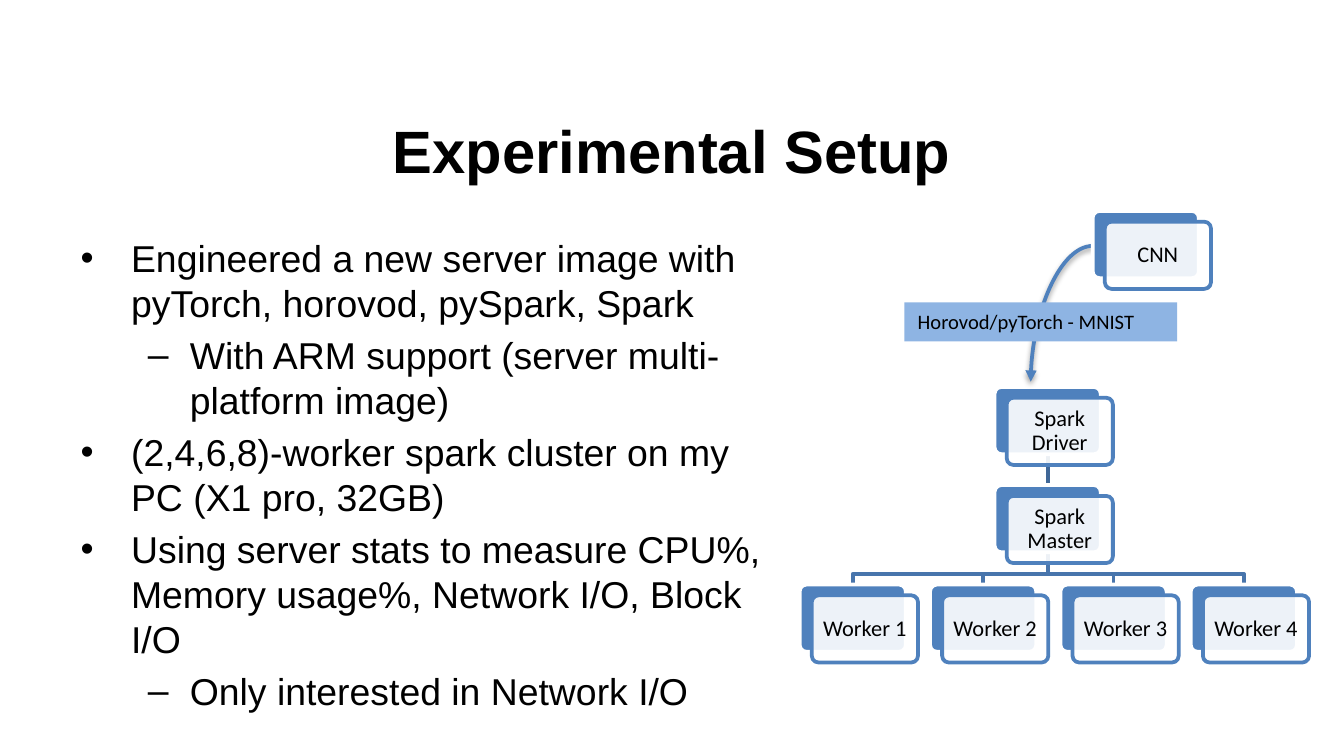
from dataclasses import dataclass

from lxml.etree import SubElement
from pptx import Presentation
from pptx.dml.color import RGBColor
from pptx.enum.shapes import MSO_CONNECTOR as Connector, MSO_SHAPE as Preset
from pptx.enum.text import MSO_ANCHOR as Anchor, MSO_AUTO_SIZE as AutoSize, PP_ALIGN as Align
from pptx.oxml.ns import qn
from pptx.util import Inches, Pt


@dataclass(frozen=True)
class Theme:
    black: str = "000000"
    white: str = "FFFFFF"
    blue: str = "4F81BD"
    branch: str = "4875AC"
    trunk: str = "3F6797"
    label: str = "8EB4E3"
    heading_font: str = "Arial"
    diagram_font: str = "Calibri"
    title_size: int = 32
    body_size: int = 20
    card_size: int = 12
    label_size: int = 11
    line_width: int = 2


THEME = Theme()
CARD_WIDTH, CARD_HEIGHT = 0.79, 0.5
CARD_SHIFT_X, CARD_SHIFT_Y = 0.09, 0.08
SPINE_LEFT, DRIVER_TOP, MASTER_TOP = 7.4, 2.88, 3.61
WORKER_LEFT, WORKER_STEP, WORKER_TOP, WORKER_COUNT = 5.95, 0.97, 4.35, 4
BRANCH_TOP, BRANCH_BEND = 4.12, 4.27

BULLETS = [
    (0, "Engineered a new server image with pyTorch, horovod, pySpark, Spark"),
    (1, "With ARM support (server multi-platform image)"),
    (0, "(2,4,6,8)-worker spark cluster on my PC (X1 pro, 32GB)"),
    (0, "Using server stats to measure CPU%, Memory usage%, Network I/O, Block I/O"),
    (1, "Only interested in Network I/O"),
]


def rgb(color):
    return RGBColor.from_string(color)


def write(paragraph, text, *, size, font=THEME.heading_font, color=THEME.black,
          bold=False, align=None, level=0, spacing=None):
    paragraph.level = level
    paragraph.alignment = align
    paragraph.line_spacing = spacing
    run = paragraph.add_run()
    run.text = text
    run.font.name = font
    run.font.size = Pt(size)
    run.font.bold = bold
    run.font.color.rgb = rgb(color)


def place(shape, left, top, width, height):
    shape.left, shape.top = Inches(left), Inches(top)
    shape.width, shape.height = Inches(width), Inches(height)


def style_line(shape, color):
    shape.line.color.rgb = rgb(color)
    shape.line.width = Pt(THEME.line_width)


def add_box(slide, preset, left, top, width, height, *, fill, line=None):
    shape = slide.shapes.add_shape(
        preset, Inches(left), Inches(top), Inches(width), Inches(height))
    shape.shadow.inherit = False
    shape.fill.solid()
    shape.fill.fore_color.rgb = rgb(fill)
    if line:
        style_line(shape, line)
    else:
        shape.line.fill.background()
    return shape


def add_card(slide, left, top, text):
    back = add_box(slide, Preset.ROUNDED_RECTANGLE, left, top,
                   CARD_WIDTH, CARD_HEIGHT, fill=THEME.blue, line=THEME.white)
    front = add_box(slide, Preset.ROUNDED_RECTANGLE, left + CARD_SHIFT_X, top + CARD_SHIFT_Y,
                    CARD_WIDTH, CARD_HEIGHT, fill=THEME.white, line=THEME.blue)
    back.adjustments[0] = front.adjustments[0] = 0.1
    color = front._element.spPr.find(qn("a:solidFill")).find(qn("a:srgbClr"))
    SubElement(color, qn("a:alpha"), val="90000")
    frame = front.text_frame
    frame.word_wrap = True
    frame.vertical_anchor = Anchor.MIDDLE
    frame.margin_left = frame.margin_right = Inches(0.05)
    frame.margin_top = frame.margin_bottom = Inches(0.05)
    write(frame.paragraphs[0], text, size=THEME.card_size, font=THEME.diagram_font,
          align=Align.CENTER, spacing=0.9)
    return back


def add_link(slide, kind, start, end, color):
    link = slide.shapes.add_connector(kind, *map(Inches, start + end))
    style_line(link, color)
    effects = SubElement(link._element.spPr, qn("a:effectLst"))
    return link, effects


def add_branch(slide, start_x, end_x):
    builder = slide.shapes.build_freeform(Inches(start_x), Inches(BRANCH_TOP))
    points = [(start_x, BRANCH_BEND), (end_x, BRANCH_BEND), (end_x, WORKER_TOP)]
    builder.add_line_segments([(Inches(x), Inches(y)) for x, y in points], close=False)
    branch = builder.convert_to_shape()
    branch.shadow.inherit = False
    branch.fill.background()
    style_line(branch, THEME.branch)


def add_curved_arrow(slide, start, end):
    arrow, effects = add_link(slide, Connector.CURVE, start, end, THEME.blue)
    arrow._element.spPr.find(qn("a:prstGeom")).set("prst", "curvedConnector2")
    SubElement(arrow._element.spPr.find(qn("a:ln")), qn("a:tailEnd"), type="triangle")
    shadow = SubElement(effects, qn("a:outerShdw"), blurRad=str(Pt(3.1)),
                        dist=str(Pt(1.6)), dir="5400000", rotWithShape="0")
    color = SubElement(shadow, qn("a:srgbClr"), val=THEME.black)
    SubElement(color, qn("a:alpha"), val="38000")


def add_label(slide, left, top, width, height, text):
    label = add_box(slide, Preset.RECTANGLE, left, top, width, height, fill=THEME.label)
    label.text_frame.word_wrap = True
    label.text_frame.vertical_anchor = Anchor.TOP
    write(label.text_frame.paragraphs[0], text, size=THEME.label_size,
          font=THEME.diagram_font, align=Align.LEFT)


def fill_title(slide, text):
    title = slide.shapes.title
    place(title, 0.5, 0.67, 9, 0.88)
    title.text_frame.auto_size = AutoSize.NONE
    title.text_frame.vertical_anchor = Anchor.MIDDLE
    write(title.text_frame.paragraphs[0], text, size=THEME.title_size,
          bold=True, align=Align.CENTER)


def fill_bullets(slide, bullets):
    body = slide.placeholders[1]
    place(body, 0.5, 1.7, 5.34, 3.41)
    frame = body.text_frame
    frame.auto_size = AutoSize.NONE
    for index, (level, text) in enumerate(bullets):
        paragraph = frame.add_paragraph() if index else frame.paragraphs[0]
        write(paragraph, text, size=THEME.body_size, level=level)


def add_cluster(slide):
    center = SPINE_LEFT + CARD_WIDTH / 2
    worker_lefts = [WORKER_LEFT + WORKER_STEP * index for index in range(WORKER_COUNT)]
    for left in reversed(worker_lefts):
        add_branch(slide, center, left + CARD_WIDTH / 2)
    trunk, _ = add_link(slide, Connector.STRAIGHT, (center, DRIVER_TOP + CARD_HEIGHT),
                        (center, MASTER_TOP), THEME.trunk)
    driver = add_card(slide, SPINE_LEFT, DRIVER_TOP, "Spark Driver")
    master = add_card(slide, SPINE_LEFT, MASTER_TOP, "Spark Master")
    trunk.begin_connect(driver, 2)
    trunk.end_connect(master, 0)
    for number, left in enumerate(worker_lefts, start=1):
        add_card(slide, left, WORKER_TOP, f"Worker {number}")


def main():
    presentation = Presentation()
    presentation.slide_width = Inches(10)
    presentation.slide_height = presentation.slide_width * 9 // 16
    slide = presentation.slides.add_slide(presentation.slide_layouts[1])
    fill_title(slide, "Experimental Setup")
    fill_bullets(slide, BULLETS)
    add_cluster(slide)
    add_curved_arrow(slide, (8.13, 1.83), (7.67, 2.84))
    add_card(slide, 8.13, 1.57, "CNN")
    add_label(slide, 6.73, 2.25, 2.03, 0.29, "Horovod/pyTorch - MNIST")
    presentation.save("out.pptx")


if __name__ == "__main__":
    main()
